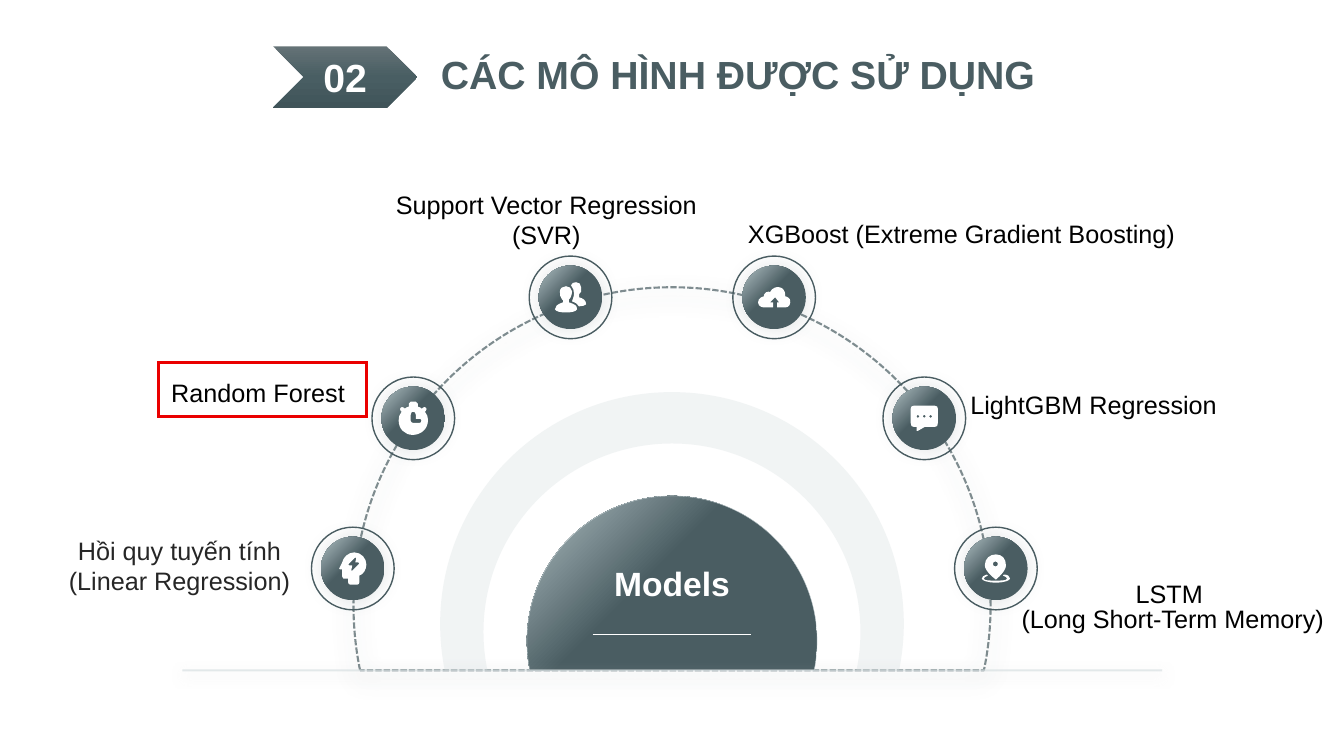
import math
from lxml import etree
from pptx import Presentation, util as u
from pptx.dml.color import RGBColor
from pptx.enum import dml, shapes as sh, text as tx
from pptx.oxml import ns

W, H = 40 / 3, 7.5
MID, BASE = W / 2, 6.65
HEX = dict(dark="4A5D62", pale="C5D0D3", mist="D8E0E2", white="FFFFFF",
           black="000000", ink="262626", red="EA0000", grey="D9D9D9")
GLOW = [(0, "B2C1C5"), (44, "4A5D62"), (66, "4A5D62"), (100, "4A5D62")]
BAND = [(0, "647276"), (50, "495E63"), (100, "405459")]
BLUSH = [(0, "4A5D62"), (100, "EA0000")]
ROUND = '<a:path path="circle"><a:fillToRect r="100000" b="100000"/></a:path>'
DOWN = '<a:lin ang="5400000" scaled="0"/>'
SLANT = '<a:lin ang="2700000" scaled="0"/>'
HEAD = "CÁC MÔ HÌNH ĐƯỢC SỬ DỤNG"

LABELS = [
    (["Hồi quy tuyến tính (Linear Regression)"], (0.57, 5.31, 2.42, 1.05), "ink", None),
    (["Random Forest"], (1.35, 3.74, 2.42, 1.05), "black", None),
    (["Support Vector Regression (SVR)"], (3.81, 1.88, 3.22, 1.05), "black", None),
    (["XGBoost (Extreme Gradient Boosting)"], (7.36, 2.22, 4.36, 1.05), "black", 0.8),
    (["LightGBM Regression"], (8.67, 3.92, 4.36, 0.54), "black", 0.8),
    (["LSTM ", "(Long Short-Term Memory)"], (10.02, 5.8, 3.23, 0.54), "black", 0.8),
]


def arc(x, y, r, turns):
    def spot(a, k=0):
        return (x + r * (math.cos(a) - k * math.sin(a)),
                y + r * (math.sin(a) + k * math.cos(a)))
    steps = [spot(turns[0])]
    for a, b in zip(turns, turns[1:]):
        k = 4 / 3 * math.tan((b - a) / 4)
        steps.append(spot(a, k) + spot(b, -k) + spot(b))
    return steps


def disc(x, y, r):
    return arc(x, y, r, [k * math.pi / 2 for k in range(5)])


def dome(mid, r):
    dip = math.asin((BASE - mid) / r)
    pi = math.pi
    return arc(MID, mid, r, [pi - dip, pi, 1.5 * pi, 2 * pi, 2 * pi + dip])


BRAIN = [
    [(15, 0), (9, 0, 4, 5, 3, 10), (0, 16), (1, 17), (3, 17), (3, 24),
     (3, 26, 5, 27, 7, 26), (9, 26), (9, 30), (9, 31, 10, 32, 11, 32), (18, 32),
     (19, 32, 20, 31, 20, 30), (20, 23), (24, 22, 27, 17, 27, 12), (27, 6, 22, 0, 15, 0)],
    [(20, 11), (13, 18), (12, 18), (13, 13), (10, 13), (9, 12), (16, 5), (17, 6),
     (16, 10), (19, 10)]]
CLOCK = [
    [(12, 0), (17, 0), (18, 0, 19, 1, 19, 2), (19, 5), (20, 5, 22, 6, 23, 7), (24, 6),
     (26, 4, 29, 7, 27, 9), (26, 10), (28, 12, 29, 15, 29, 19), (29, 27, 22, 33, 14, 33),
     (6, 33, 0, 27, 0, 19), (0, 15, 1, 12, 3, 10), (2, 9), (0, 7, 3, 4, 5, 6), (6, 7),
     (7, 6, 9, 5, 10, 5), (10, 2), (10, 1, 11, 0, 12, 0)],
    [(14, 10), (13, 10, 12, 11, 12, 13), (12, 19), (12, 20, 13, 21, 14, 21), (21, 21),
     (23, 21, 23, 17, 21, 17), (17, 17), (17, 13), (17, 11, 16, 10, 14, 10)]]
USERS = [
    [(24, 24), (22, 21, 20, 20, 17, 19), (17, 18, 19, 15, 19, 11), (19, 8, 18, 6, 16, 3),
     (17, 1, 18, 0, 21, 0), (24, 0, 26, 2, 26, 5), (27, 8, 26, 11, 24, 12), (24, 15),
     (28, 16, 31, 18, 31, 22), (30, 23, 27, 24, 24, 24)],
    [(0, 27), (0, 24, 2, 22, 8, 20), (9, 19, 8, 17, 7, 17), (5, 15, 5, 12, 5, 9),
     (5, 6, 8, 4, 11, 4), (14, 4, 17, 6, 17, 9), (17, 13, 15, 17, 14, 17), (14, 20),
     (20, 22, 22, 23, 22, 27), (21, 29, 17, 30, 11, 30), (5, 30, 1, 29, 0, 27)]]
CLOUD = [
    [(27, 9), (27, 9, 28, 1, 21, 0), (14, -1, 12, 5, 12, 5), (12, 5, 10, 3, 8, 5),
     (5, 6, 6, 9, 6, 9), (6, 9, 0, 10, 0, 15), (0, 20, 6, 20, 6, 20), (15, 20), (15, 15),
     (12, 15), (17, 10), (21, 15), (19, 15), (19, 20), (27, 20), (27, 20, 32, 20, 32, 15),
     (33, 10, 27, 9, 27, 9)]]
CHAT = [
    [(24, 0), (3, 0), (1, 0, 0, 1, 0, 3), (0, 17), (0, 20, 1, 21, 3, 21), (6, 21), (6, 25),
     (7, 25), (14, 21), (24, 21), (26, 21, 27, 20, 27, 17), (27, 3), (27, 1, 26, 0, 24, 0)],
    *[disc(x, 10.5, 1.6) for x in (7.2, 13.5, 19.8)]]
PIN = [
    [(5, 20), (6, 21), (4, 22, 2, 23, 2, 24), (2, 26, 8, 26, 14, 26), (19, 26, 25, 26, 25, 24),
     (25, 23, 24, 22, 21, 21), (22, 20), (26, 20, 28, 22, 28, 24), (28, 26, 22, 28, 14, 28),
     (6, 28, 0, 26, 0, 24), (0, 22, 2, 21, 5, 20)],
    [(14, 25), (14, 25, 3, 17, 3, 11), (3, 4, 8, 0, 14, 0), (20, 0, 24, 4, 24, 11),
     (24, 17, 14, 25, 14, 25)],
    disc(13.5, 9.5, 2.5)]
NODES = [(3.5, 5.64, BRAIN), (4.1, 4.15, CLOCK), (5.66, 2.95, USERS),
         (7.68, 2.95, CLOUD), (9.17, 4.15, CHAT), (9.88, 5.64, PIN)]

deck = Presentation()
deck.slide_width, deck.slide_height = u.Inches(W), u.Inches(H)
slide = deck.slides.add_slide(deck.slide_layouts[2])
art = slide.shapes


def tint(key):
    return RGBColor.from_string(HEX[key])


def box(*at):
    return [u.Inches(v) for v in at]


def node(tag, body="", **att):
    el = etree.fromstring(f'<a:{tag} xmlns:a="{ns.nsuri("a")}">{body}</a:{tag}>')
    for k, v in att.items():
        el.set(k, str(v))
    return el


def blend(fill, home, stops, way):
    fill.solid()
    gs = "".join(f'<a:gs pos="{p * 1000}"><a:srgbClr val="{c}"/></a:gs>' for p, c in stops)
    home.replace(home.find(ns.qn("a:solidFill")),
                 node("gradFill", f"<a:gsLst>{gs}</a:gsLst>{way}"))


def fade(part, pct):
    part.element.spPr.find(".//" + ns.qn("a:srgbClr")).append(node("alpha", val=pct * 1000))


def shade(part, key=None, pct=0, blur=0, dist=0):
    pr = part.element.spPr
    for old in pr.findall(ns.qn("a:effectLst")):
        pr.remove(old)
    body = "" if not key else (
        f'<a:outerShdw blurRad="{blur * 12700}" dist="{dist * 12700}" dir="5400000" '
        f'algn="t" rotWithShape="0"><a:srgbClr val="{HEX[key]}">'
        f'<a:alpha val="{pct * 1000}"/></a:srgbClr></a:outerShdw>')
    pr.append(node("effectLst", body))


def paint(part, fill=None, line=None, wide=1):
    if fill:
        part.fill.solid()
        part.fill.fore_color.rgb = tint(fill)
    else:
        part.fill.background()
    if line:
        part.line.color.rgb = tint(line)
        part.line.width = u.Pt(wide)
    else:
        part.line.fill.background()
    shade(part)
    return part


def write(part, rows, size, key, bold=False, lead=None, inset=None, anchor="MIDDLE", wrap=True):
    tf = part.text_frame
    form = dict(word_wrap=wrap, vertical_anchor=tx.MSO_ANCHOR[anchor])
    if inset is not None:
        form.update({f"margin_{s}": inset for s in ("left", "top", "right", "bottom")})
    for k, v in form.items():
        setattr(tf, k, v)
    tf.text = "\n".join(rows)
    for p in tf.paragraphs:
        p.alignment, p.line_spacing, p.space_before = tx.PP_ALIGN.CENTER, lead, 0
        font = p.runs[0].font
        for k, v in dict(name="Arial", size=u.Pt(size), bold=bold).items():
            setattr(font, k, v)
        font.color.rgb = tint(key)


def outline(loops):
    loops = [[[round(v * 1000) for v in step] for step in loop] for loop in loops]
    ends = [step[-2:] for loop in loops for step in loop]
    low = [min(e[i] for e in ends) for i in (0, 1)]
    pen = art.build_freeform(*ends[0], scale=914.4)
    pen.add_line_segments(ends[1:], close=True)
    part = pen.convert_to_shape()
    route = part.element.spPr.find(".//" + ns.qn("a:path"))
    for old in list(route):
        route.remove(old)
    for loop in loops:
        for n, step in enumerate(loop):
            kind = "moveTo" if n == 0 else "lnTo" if len(step) == 2 else "cubicBezTo"
            route.append(node(kind, "".join(
                f'<a:pt x="{x - low[0]}" y="{y - low[1]}"/>'
                for x, y in zip(step[::2], step[1::2]))))
        route.append(node("close"))
    return part


def rule(x1, x2, y, key, wide):
    bar = art.add_connector(sh.MSO_CONNECTOR.STRAIGHT, *box(x1, y, x2, y))
    bar.line.color.rgb = tint(key)
    bar.line.width = u.Pt(wide)
    shade(bar)
    return bar


def oval(x, y, d, line=None):
    at = box(x - d / 2, y - d / 2, d, d)
    return paint(art.add_shape(sh.MSO_SHAPE.OVAL, *at), None, line)


art.title.element.getparent().remove(art.title.element)
title = slide.placeholders[1]
title.left, title.top, title.width, title.height = box(0.99, 0.37, 12.66, 0.79)
write(title, [HEAD], 28, "dark", True, 0.9)
font = title.text_frame.paragraphs[0].runs[0].font
blend(font.fill, title.element.find(".//" + ns.qn("a:rPr")), BLUSH, SLANT)

tag = paint(art.add_shape(sh.MSO_SHAPE.CHEVRON, *box(2.71, 0.46, 1.43, 0.61)))
blend(tag.fill, tag.element.spPr, BAND, DOWN)
write(tag, ["02"], 28, "white", True, wrap=False)

orbit = paint(outline([dome(6.01, 3.16)]), None, "dark", 1.5)
orbit.line.dash_style = dml.MSO_LINE.SQUARE_DOT
fade(orbit, 70)
shade(orbit, "dark", 40, 17, 6)

core = paint(outline([dome(6.36, 1.44)]), None, "pale", 0.25)
blend(core.fill, core.element.spPr, GLOW, ROUND)
write(core, ["Models"], 24, "white", True)
rule(5.88, 7.45, 6.29, "white", 0.5)
ground = rule(1.81, 11.53, BASE, "mist", 1.5)
fade(ground, 70)
shade(ground, "grey", 50, 9, 3)

for x, y, icon in NODES:
    oval(x, y, 0.82, "dark")
    ball = oval(x, y, 0.63)
    blend(ball.fill, ball.element.spPr, GLOW, ROUND)
    shade(ball, "dark", 15, 14)
    wide, tall = (max(s[i - 2] for loop in icon for s in loop) for i in (0, 1))
    mid = (x - wide / 200, y - tall / 200)
    paint(outline([[tuple(mid[i % 2] + v / 100 for i, v in enumerate(s)) for s in loop]
                   for loop in icon]), "white")

ring = paint(outline([dome(6.19, 2.3), dome(6.27, 1.87)]), "mist")
fade(ring, 35)

for rows, at, key, lead in LABELS:
    write(art.add_textbox(*box(*at)), rows, 18, key, False, lead, 0, "TOP")
frame = paint(art.add_shape(sh.MSO_SHAPE.RECTANGLE, *box(1.57, 3.6, 2.07, 0.53)), None, "red", 2.25)
frame.line._get_or_add_ln().append(node("miter", lim=800000))

deck.save("out.pptx")
